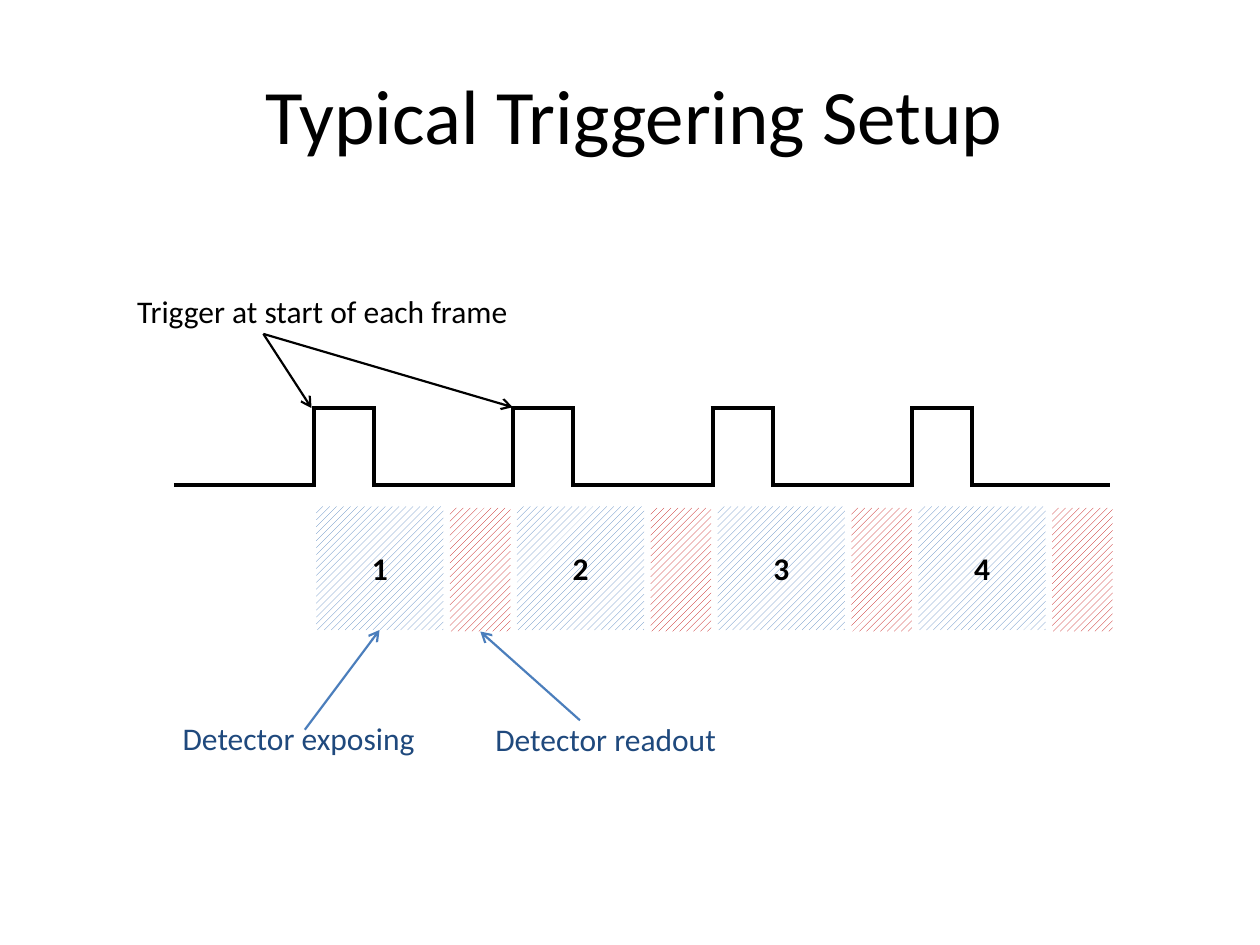
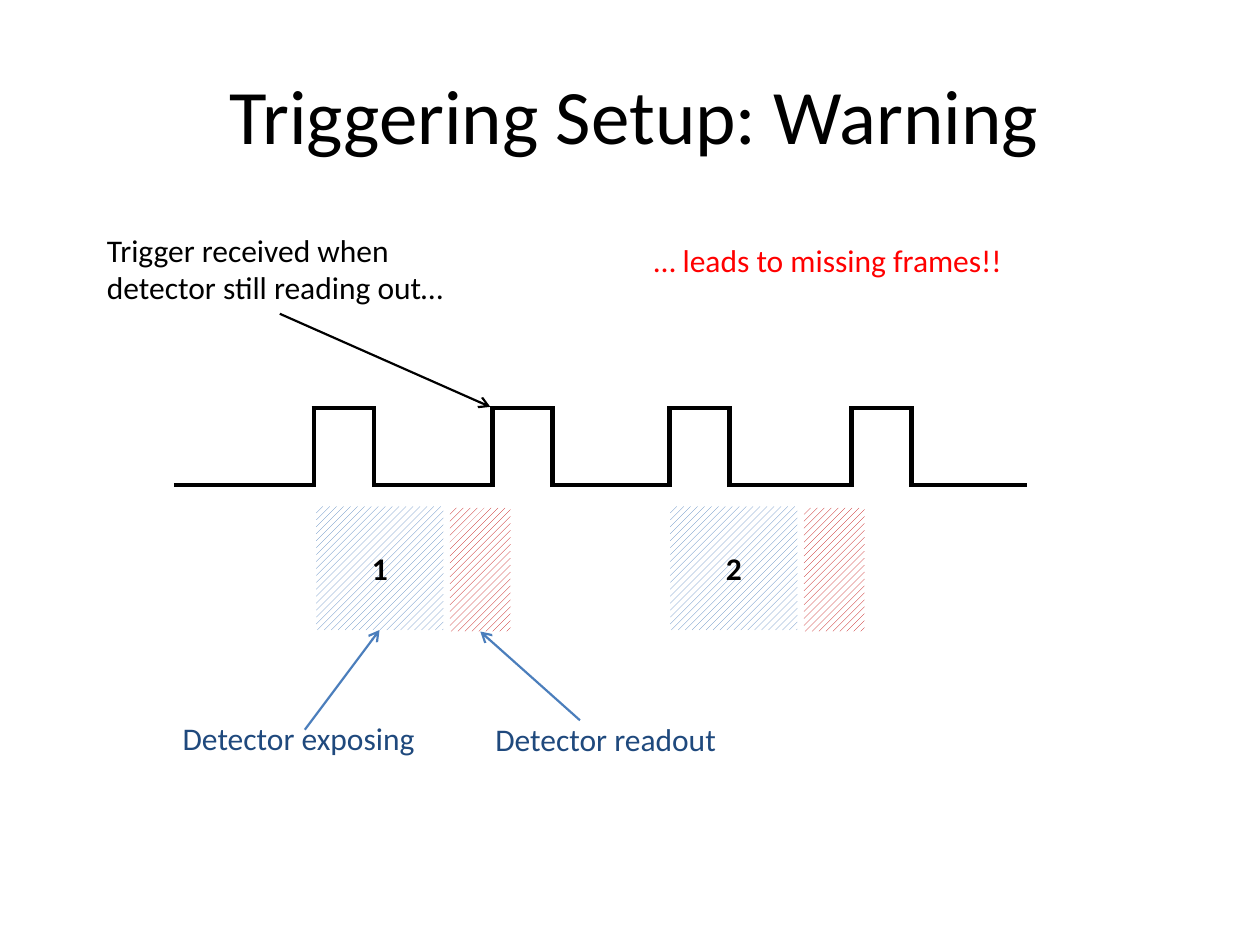
from lxml.etree import SubElement
from pptx import Presentation
from pptx.dml.color import RGBColor
from pptx.enum.dml import MSO_PATTERN
from pptx.enum.shapes import MSO_CONNECTOR, MSO_SHAPE
from pptx.enum.text import MSO_ANCHOR, PP_ALIGN
from pptx.oxml.ns import qn
from pptx.util import Pt

COLORS = {
    "black": "000000",
    "white": "FFFFFF",
    "label": "1F497D",
    "pointer": "4B7EBC",
    "exposure": "4F81BD",
    "readout": "C00000",
    "warning": "FF0000",
}
FONT = "Calibri"
LOW, HIGH = 277.2, 233.2
OVERLAP = 1.2
SIGNAL_START = 99.4
PULSE_WIDTH = 34.3
FRAME_HEIGHT = 70.6
EXPOSURE_WIDTH = 72.7
READOUT_OFFSET, READOUT_WIDTH = 76.4, 34.6

SLIDES = [
    {
        "title": "Typical Triggering Setup",
        "pulses": [179.3 + 114 * index for index in range(4)],
        "signal_end": 634.3,
        "frames": [180.7 + 114.7 * index for index in range(4)],
        "notes": [("Trigger at start of each frame", 71.3, 163.4, 241.2, 29.1, "black")],
        "pointers": [(150.5, 190.8, 178, 233.2), (150.5, 190.8, 293, 232.7)],
    },
    {
        "title": "Triggering Setup: Warning",
        "pulses": [179.3, 281.5, 382.5, 486.5],
        "signal_end": 586.8,
        "frames": [180.7, 383],
        "notes": [
            ("Trigger received when detector still reading out…", 54, 128.2, 238.3, 50.9, "black"),
            ("… leads to missing frames!!", 366.5, 133.9, 238.3, 29.1, "warning"),
        ],
        "pointers": [(159.9, 179.3, 280.2, 232.5)],
    },
]
DETECTOR_LABELS = [
    ("Detector exposing", 97.3, 407.2, 153.4, 29.1, "label"),
    ("Detector readout", 276, 407.8, 153.4, 29.1, "label"),
]
DETECTOR_POINTERS = [(174.2, 417, 216.9, 360), (331.4, 411.6, 274.5, 360.9)]


def write(shape, text, size=18, color="black", bold=False, centered=False):
    frame = shape.text_frame
    frame.word_wrap = True
    paragraph = frame.paragraphs[0]
    if centered:
        frame.vertical_anchor = MSO_ANCHOR.MIDDLE
        paragraph.alignment = PP_ALIGN.CENTER
    run = paragraph.add_run()
    run.text = text
    run.font.name = FONT
    run.font.size = Pt(size)
    run.font.bold = bold
    run.font.color.rgb = RGBColor.from_string(COLORS[color])


def draw_line(slide, points, color="black", width=2.5, arrow=False):
    connector = slide.shapes.add_connector(
        MSO_CONNECTOR.STRAIGHT, *[Pt(value) for value in points]
    )
    connector.line.color.rgb = RGBColor.from_string(COLORS[color])
    connector.line.width = Pt(width)
    if arrow:
        SubElement(connector.line._get_or_add_ln(), qn("a:tailEnd"), type="arrow")
    SubElement(connector._element.spPr, qn("a:effectLst"))


presentation = Presentation()
presentation.slide_width = Pt(720)
presentation.slide_height = Pt(540)

for content in SLIDES:
    slide = presentation.slides.add_slide(presentation.slide_layouts[6])
    title = slide.shapes.add_textbox(Pt(121.7), Pt(20.2), Pt(481.7), Pt(90))
    write(title, content["title"], size=44, centered=True)

    low_start = SIGNAL_START
    for left in content["pulses"]:
        right = left + PULSE_WIDTH
        draw_line(slide, (low_start, LOW, left, LOW))
        draw_line(slide, (left - OVERLAP, HIGH, right + OVERLAP, HIGH))
        for edge in (left, right):
            draw_line(slide, (edge, LOW + OVERLAP, edge, HIGH - OVERLAP))
        low_start = right
    draw_line(slide, (low_start, LOW, content["signal_end"], LOW))

    for number, left in enumerate(content["frames"], start=1):
        for kind, x, y, width in (
            ("exposure", left, 289.4, EXPOSURE_WIDTH),
            ("readout", left + READOUT_OFFSET, 290.2, READOUT_WIDTH),
        ):
            block = slide.shapes.add_shape(
                MSO_SHAPE.RECTANGLE, Pt(x), Pt(y), Pt(width), Pt(FRAME_HEIGHT)
            )
            block.shadow.inherit = False
            block.line.fill.background()
            block.fill.patterned()
            block.fill.pattern = MSO_PATTERN.WIDE_UPWARD_DIAGONAL
            block.fill.fore_color.rgb = RGBColor.from_string(COLORS[kind])
            block.fill.back_color.rgb = RGBColor.from_string(COLORS["white"])
            if kind == "exposure":
                write(block, str(number), bold=True, centered=True)

    for text, left, top, width, height, color in content["notes"] + DETECTOR_LABELS:
        label = slide.shapes.add_textbox(Pt(left), Pt(top), Pt(width), Pt(height))
        write(label, text, color=color)

    for points in content["pointers"]:
        draw_line(slide, points, width=1.25, arrow=True)
    for points in DETECTOR_POINTERS:
        draw_line(slide, points, color="pointer", width=1.25, arrow=True)

presentation.save("out.pptx")
